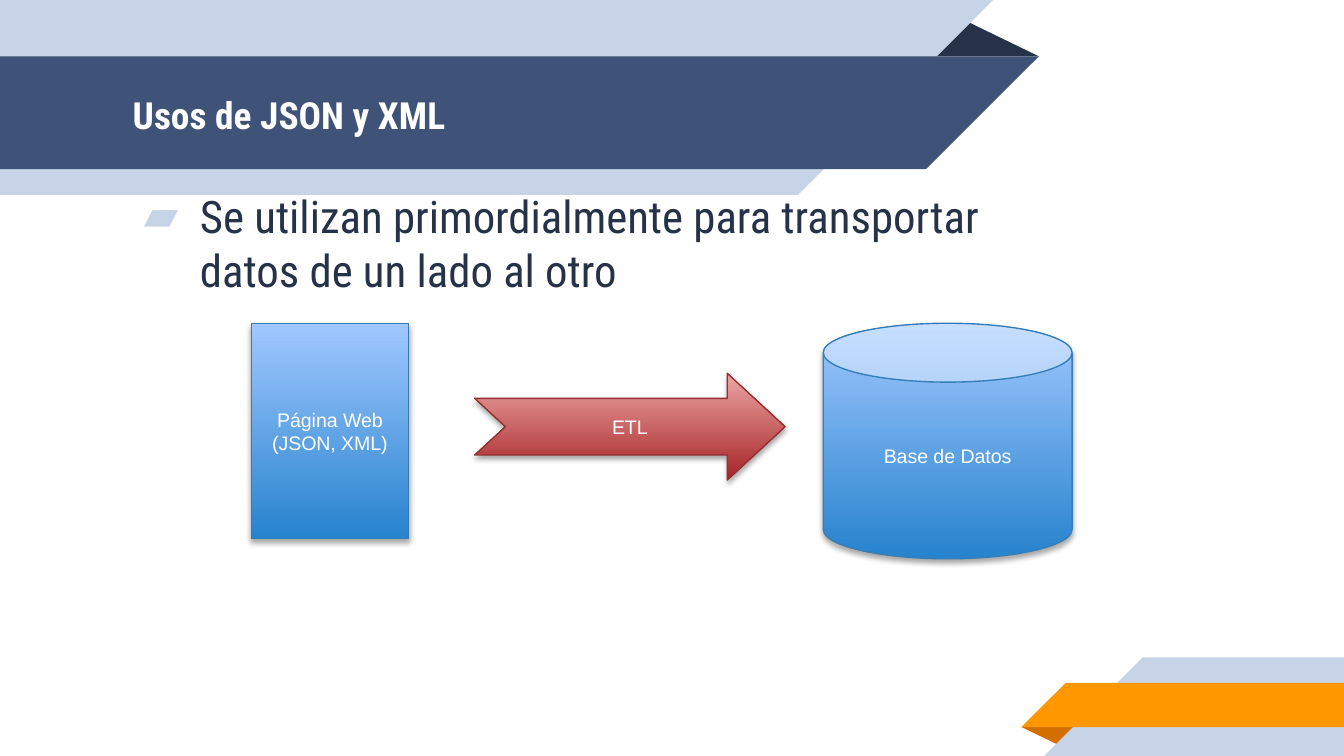
from lxml.etree import SubElement
from pptx import Presentation
from pptx.dml.color import RGBColor
from pptx.enum.shapes import MSO_SHAPE
from pptx.enum.text import MSO_ANCHOR, PP_ALIGN
from pptx.oxml.ns import qn
from pptx.util import Pt

W, H = 720, 405
LIGHT, NAVY, DARK = "C7D3E6", "3F5378", "263248"
ORANGE, BROWN, WHITE = "FF9800", "D26F00", "FFFFFF"
BLUES = ("2783CD", "A0C8FF", "367EB9")
REDS = ("A52425", "EDA5A5", "952F30")

RIBBONS = [
    (DARK, [(515, 10), (556.6, 30.2), (495.4, 30.2)]),
    (LIGHT, [(0, 0), (532, 0), (427.6, 104.4), (0, 104.4)]),
    (NAVY, [(0, 30.2), (556.6, 30.2), (496.1, 90.7), (0, 90.7)]),
    (BROWN, [(547.2, 389.5), (578.2, 389.5), (568.1, 399.6)]),
    (LIGHT, [(612.2, 352.2), (W, 352.2), (W, H), (559.4, H)]),
    (ORANGE, [(571, 365.8), (W, 365.8), (W, 389.5), (547.2, 389.5)]),
]
TITLE = ("Usos de JSON y XML", (64, 31, 433, 60.5), 20, WHITE, True)
BODY = ("Se utilizan primordialmente para transportar datos de un lado al otro",
        (64, 104.4, 483, 51), 24, DARK, False)
FLOW = [
    ("Página Web (JSON, XML)", MSO_SHAPE.RECTANGLE, (134.6, 173.2, 84.4, 115.4), BLUES, ()),
    ("Base de Datos", MSO_SHAPE.CAN, (441, 173.2, 133.3, 126.2), BLUES, ()),
    ("ETL", MSO_SHAPE.NOTCHED_RIGHT_ARROW, (254.3, 200, 166.3, 57.2), REDS, (0.531, 0.542)),
]


def rgb(color):
    """Turn a hex string into a colour."""
    return RGBColor.from_string(color)


def write(sp, text, size, font, color, bold=False):
    """Put one formatted, vertically centred paragraph in a shape."""
    tf = sp.text_frame
    tf.text = text
    tf.word_wrap = True
    tf.vertical_anchor = MSO_ANCHOR.MIDDLE
    p = tf.paragraphs[0]
    f = p.runs[0].font
    f.size, f.name, f.bold = Pt(size), font, bold
    f.color.rgb = rgb(color)
    return p


def add_ribbon(s, color, points):
    """Draw one filled polygon."""
    pts = [(Pt(x), Pt(y)) for x, y in points]
    fb = s.shapes.build_freeform(*pts[0])
    fb.add_line_segments(pts[1:], close=True)
    sp = fb.convert_to_shape()
    sp.shadow.inherit = False
    sp.fill.solid()
    sp.fill.fore_color.rgb = rgb(color)
    sp.line.fill.background()


def add_text(s, text, box, size, color, bold):
    """Add a text box and return its paragraph."""
    sp = s.shapes.add_textbox(*map(Pt, box))
    tf = sp.text_frame
    tf.margin_left = tf.margin_right = tf.margin_top = tf.margin_bottom = Pt(7.2)
    return write(sp, text, size, "Roboto Condensed", color, bold)


def add_bullet(p, char, color):
    """Give a paragraph a hanging coloured bullet."""
    pPr = p._p.get_or_add_pPr()
    pPr.set("marL", str(Pt(36)))
    pPr.set("indent", str(Pt(-30)))
    SubElement(SubElement(pPr, qn("a:buClr")), qn("a:srgbClr"), val=color)
    SubElement(pPr, qn("a:buFont"), typeface="Roboto Condensed")
    SubElement(pPr, qn("a:buChar"), char=char)


def add_shadow(sp):
    """Cast a soft shadow straight down."""
    sp.shadow.inherit = False
    effects = sp._element.spPr.find(qn("a:effectLst"))
    shadow = SubElement(effects, qn("a:outerShdw"), blurRad=str(Pt(3.1)),
                        dist=str(Pt(1.8)), dir="5400000", rotWithShape="0")
    color = SubElement(shadow, qn("a:srgbClr"), val="000000")
    SubElement(color, qn("a:alpha"), val="35000")


def add_step(s, text, kind, box, colors, adjustments):
    """Add one labelled gradient shape of the flow."""
    sp = s.shapes.add_shape(kind, *map(Pt, box))
    for i, value in enumerate(adjustments):
        sp.adjustments[i] = value
    sp.fill.gradient()
    sp.fill.gradient_angle = 90
    for stop, position, color in zip(sp.fill.gradient_stops, (0, 1), colors):
        stop.position = position
        stop.color.rgb = rgb(color)
    sp.line.color.rgb = rgb(colors[2])
    sp.line.width = Pt(0.75)
    add_shadow(sp)
    write(sp, text, 10.5, "Arial", WHITE).alignment = PP_ALIGN.CENTER


def main():
    """Build the slide and save it."""
    prs = Presentation()
    prs.slide_width, prs.slide_height = Pt(W), Pt(H)
    s = prs.slides.add_slide(prs.slide_layouts[6])
    for ribbon in RIBBONS:
        add_ribbon(s, *ribbon)
    add_text(s, *TITLE)
    add_bullet(add_text(s, *BODY), "▰", LIGHT)
    for step in FLOW:
        add_step(s, *step)
    prs.save("out.pptx")


if __name__ == "__main__":
    main()
